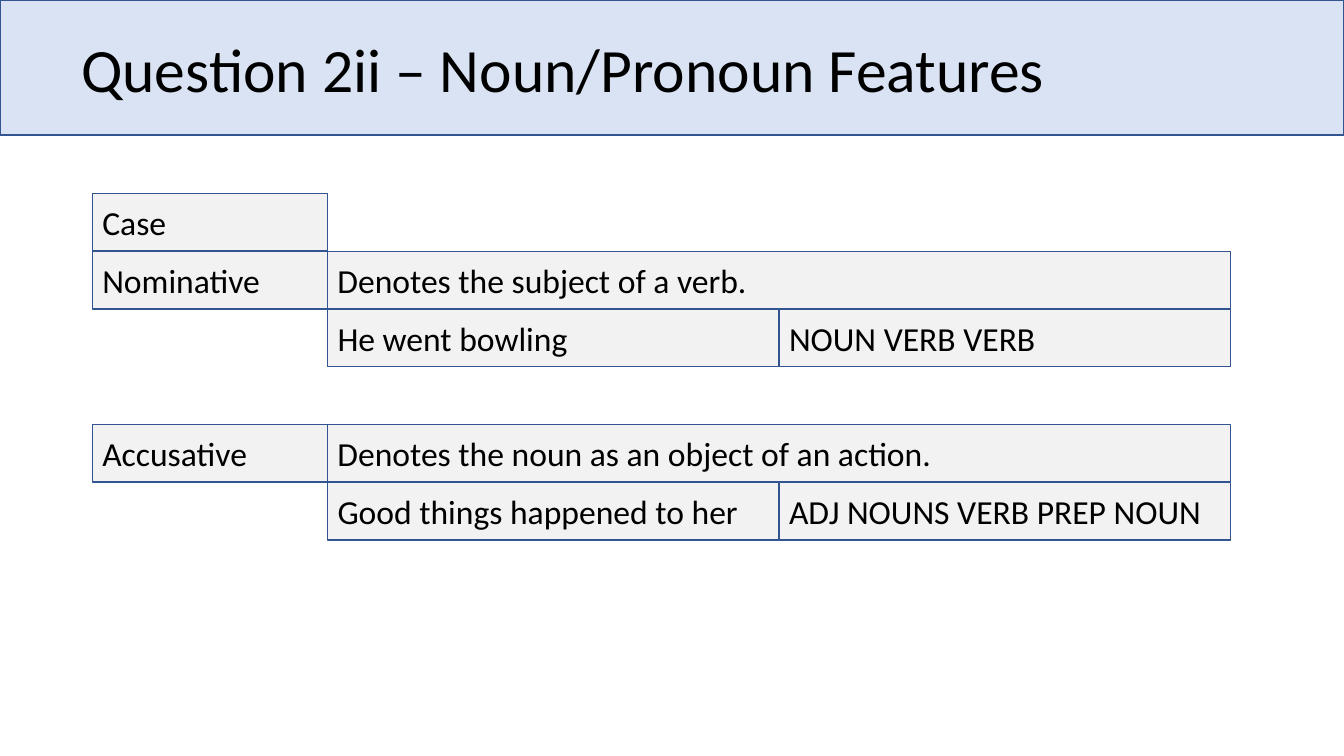
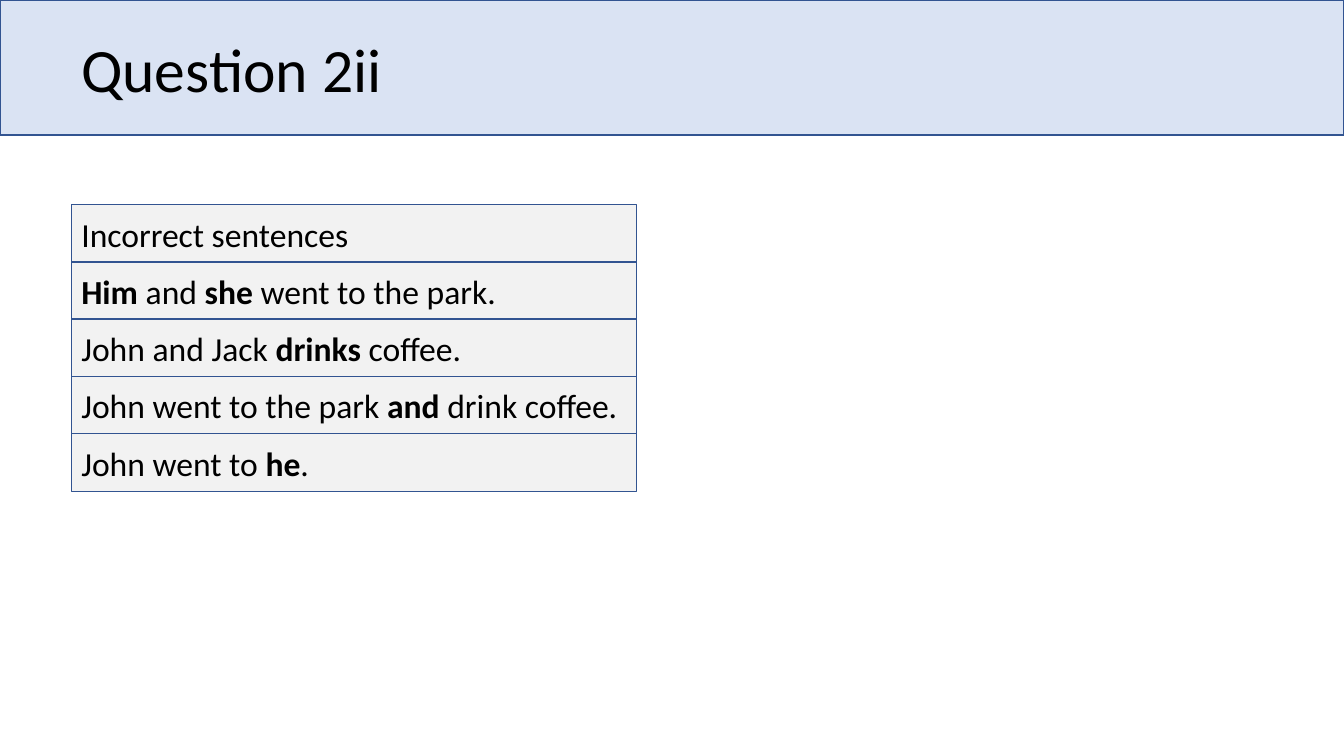
"""Build two grammar slides: noun case features and incorrect sentences."""
import pptx
import pptx.dml.color
import pptx.enum.shapes
import pptx.enum.text
import pptx.util

Pt = pptx.util.Pt
BAND, CELL, LINE, INK = "DAE3F3", "F2F2F2", "325491", "000000"
ROW_H = 41.25


def rgb(value):
    return pptx.dml.color.RGBColor.from_string(value)


def add_box(slide, box, text="", fill=None, size=24, spacing=1.0):
    box = [Pt(v) for v in box]
    if fill:
        sp = slide.shapes.add_shape(pptx.enum.shapes.MSO_SHAPE.RECTANGLE, *box)
        sp.shadow.inherit = False
        sp.fill.solid()
        sp.fill.fore_color.rgb = rgb(fill)
        sp.line.color.rgb = rgb(LINE)
        sp.line.width = Pt(1)
    else:
        sp = slide.shapes.add_textbox(*box)
    tf = sp.text_frame
    tf.word_wrap = True
    tf.vertical_anchor = pptx.enum.text.MSO_ANCHOR.MIDDLE
    p = tf.paragraphs[0]
    p.alignment = pptx.enum.text.PP_ALIGN.LEFT
    p.line_spacing = spacing
    for i, part in enumerate(text.split("*")):
        if part:
            r = p.add_run()
            r.text = part
            r.font.color.rgb = rgb(INK)
            font = {"name": "Calibri", "size": Pt(size), "bold": i % 2 == 1}
            for key, value in font.items():
                setattr(r.font, key, value)


prs = pptx.Presentation()
prs.slide_width, prs.slide_height = Pt(960), Pt(540)

slides = []
for title in ["Question 2ii – Noun/Pronoun Features", "Question 2ii"]:
    s = prs.slides.add_slide(prs.slide_layouts[6])
    add_box(s, (0, 0, 960, 96.5), fill=BAND)
    add_box(s, (51, -0.7, 828, 104.4), title, size=44, spacing=0.9)
    slides.append(s)
features, sentences = slides

label_x, label_w, half_w, top = 66, 168, 322.5, 138.2
text_x = label_x + label_w
add_box(features, (label_x, top, label_w, ROW_H), "Case", CELL)
cases = [
    (1, "Nominative", "Denotes the subject of a verb. ",
     "He went bowling", "NOUN VERB VERB"),
    (4, "Accusative", "Denotes the noun as an object of an action.",
     "Good things happened to her", "ADJ NOUNS VERB PREP NOUN"),
]
for row, label, meaning, example, pattern in cases:
    y = top + row * ROW_H
    add_box(features, (label_x, y, label_w, ROW_H), label, CELL)
    add_box(features, (text_x, y, 2 * half_w, ROW_H), meaning, CELL)
    for col, text in enumerate([example, pattern]):
        box = (text_x + col * half_w, y + ROW_H, half_w, ROW_H)
        add_box(features, box, text, CELL)

lines = [
    "Incorrect sentences",
    "*Him* and *she* went to the park.",
    "John and Jack *drinks* coffee.",
    "John went to the park *and* drink coffee.",
    "John went to *he*.",
]
for row, text in enumerate(lines):
    add_box(sentences, (51, 146.2 + row * 40.9, 403.5, ROW_H), text, CELL)

prs.save("out.pptx")
